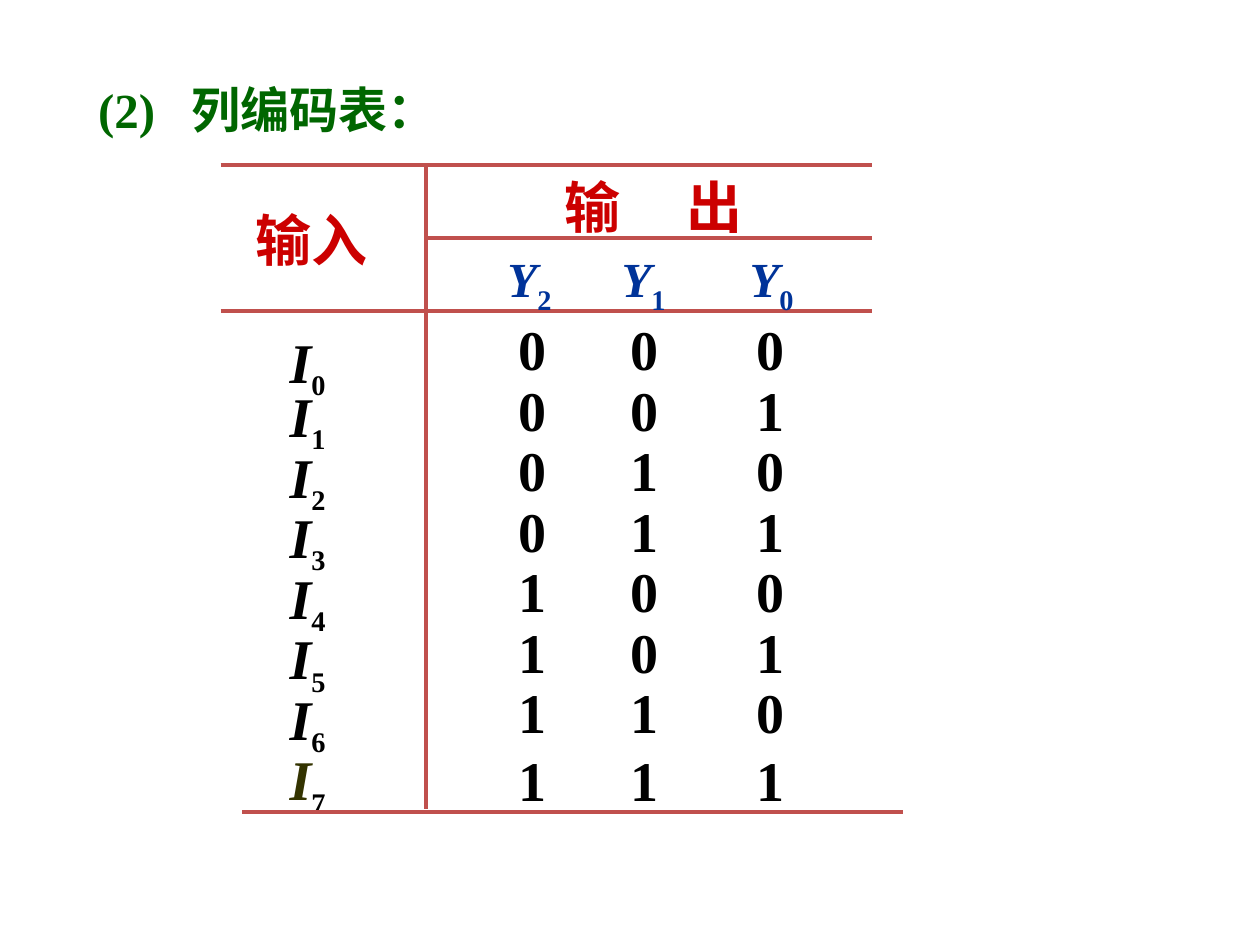
"""Build the slide with the encoding table of an 8-to-3 binary encoder."""
from lxml import etree
from pptx import Presentation
from pptx import util as u
from pptx.dml.color import RGBColor
from pptx.enum import shapes, text
from pptx.oxml.ns import qn

COLORS = {"title": "006600", "head": "CC0000", "output": "003399",
          "body": "000000", "last": "333300", "rule": "C0504D"}
FONT = "Times New Roman"

CODES = ["000", "001", "010", "011", "100", "101", "110", "111"]
FIRST_TOP, PITCH = 6.22, 1.22
INPUT_LEFT, INPUT_DROP = 5.59, 0.13
CODE_LEFT, CODE_TABS = 10.21, [2.26, 4.8]
CODE_NUDGE = {7: 0.15}
INPUT_NUDGE = {0: 0.13}

RULES = [
    (4.45, 3.33, 17.58, 3.33),
    (4.45, 6.27, 17.58, 6.27),
    (8.59, 3.33, 8.59, 16.31),
    (8.59, 4.8, 17.58, 4.8),
    (4.88, 16.36, 18.21, 16.36),
]
HEADINGS = [
    ("(2)\t列编码表：", 1.73, 1.47, 7.6, 28, "title", [1.88]),
    ("输入", 4.9, 4.01, 2.77, 32, "head", []),
    ("输\t出", 11.13, 3.35, 4.19, 32, "head", [2.46]),
]
OUTPUTS = ["Y2", "Y1", "Y0"]


def add_line(page, x1, y1, x2, y2):
    """Draw one rule of the table."""
    line = page.shapes.add_connector(
        shapes.MSO_CONNECTOR.STRAIGHT, u.Cm(x1), u.Cm(y1), u.Cm(x2), u.Cm(y2))
    line.line.color.rgb = RGBColor.from_string(COLORS["rule"])
    line.line.width = u.Pt(2.25)
    etree.SubElement(line._element.spPr, qn("a:effectLst"))


def add_box(page, left, top, width, tabs, wrap=True):
    """Add a text box and return its paragraph with the tab stops set."""
    box = page.shapes.add_textbox(u.Cm(left), u.Cm(top), u.Cm(width), u.Cm(1.6))
    box.text_frame.word_wrap = wrap
    box.text_frame.auto_size = text.MSO_AUTO_SIZE.SHAPE_TO_FIT_TEXT
    para = box.text_frame.paragraphs[0]
    if tabs:
        stops = etree.SubElement(para._p.get_or_add_pPr(), qn("a:tabLst"))
        for tab in tabs:
            etree.SubElement(stops, qn("a:tab"), pos=str(u.Cm(tab)), algn="l")
    return para


def add_span(para, words, size, color, italic=False, subscript=False):
    """Append one formatted run."""
    span = para.add_run()
    span.text = words
    font = span.font
    font.name, font.size, font.bold, font.italic = FONT, u.Pt(size), True, italic
    font.color.rgb = RGBColor.from_string(COLORS[color])
    if subscript:
        span._r.get_or_add_rPr().set("baseline", "-25000")


def add_symbol(para, letter, index, size, color, index_color):
    """Append an italic letter with its subscript index."""
    add_span(para, letter, size, color, italic=True)
    add_span(para, index, 28, index_color, subscript=True)


def main():
    """Assemble and save the deck."""
    deck = Presentation()
    deck.slide_width, deck.slide_height = u.Cm(25.4), u.Cm(19.05)
    page = deck.slides.add_slide(deck.slide_layouts[6])

    for row, code in enumerate(CODES):
        top = FIRST_TOP + row * PITCH
        para = add_box(page, CODE_LEFT, top + CODE_NUDGE.get(row, 0), 6.45, CODE_TABS)
        add_span(para, "\t".join(code), 32, "body")
        para = add_box(page, INPUT_LEFT, top + INPUT_DROP + INPUT_NUDGE.get(row, 0),
                       1.3, [], wrap=False)
        color = "last" if row == len(CODES) - 1 else "body"
        add_symbol(para, "I", str(row), 32, color, "body")

    for rule in RULES:
        add_line(page, *rule)

    for words, left, top, width, size, color, tabs in HEADINGS:
        para = add_box(page, left, top, width, tabs, wrap=bool(tabs))
        add_span(para, words, size, color)

    para = add_box(page, 9.98, 4.75, 6.43, [2.3, 4.88])
    for column, (letter, index) in enumerate(OUTPUTS):
        if column:
            add_span(para, "\t", 32, "output")
        add_symbol(para, letter, index, 28, "output", "output")

    deck.save("out.pptx")


if __name__ == "__main__":
    main()
